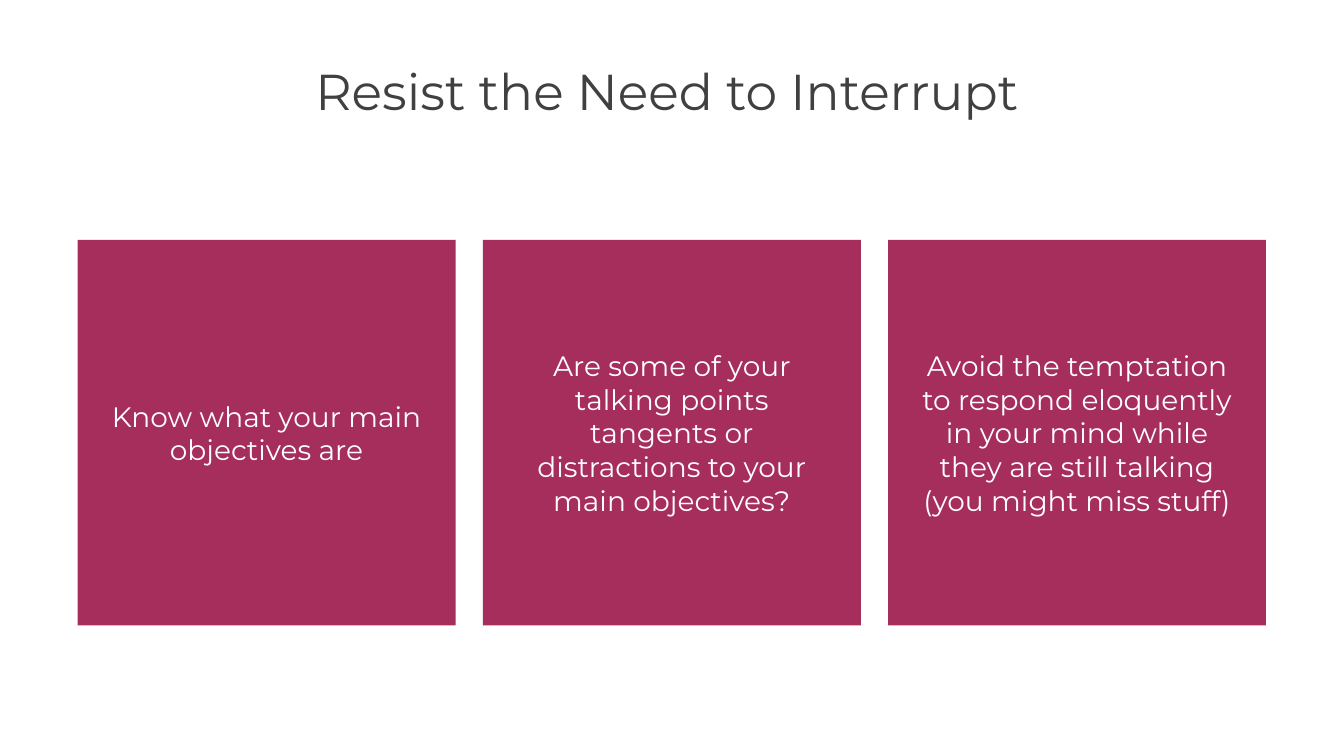
"""Build a slide with a title above three equal cards."""
from pptx import Presentation
from pptx.dml.color import RGBColor
from pptx.enum.shapes import MSO_SHAPE
from pptx.enum.text import MSO_ANCHOR, PP_ALIGN
from pptx.util import Pt

TITLE = "Resist the Need to Interrupt"
CARDS = [
    "Know what your main objectives are",
    "Are some of your talking points tangents or distractions to your main objectives?",
    "Avoid the temptation to respond eloquently in your mind while they are still talking "
    "(you might miss stuff)",
]

FONT = "Montserrat"
BERRY = RGBColor(0xA6, 0x2E, 0x5C)
WHITE = RGBColor(0xFF, 0xFF, 0xFF)
CHARCOAL = RGBColor(0x40, 0x40, 0x40)

SLIDE_WIDTH, SLIDE_HEIGHT = 960, 540
LEFT, CONTENT_WIDTH = 55.4, 848.9
TITLE_TOP, TITLE_HEIGHT = 46.1, 34.6
CARD_TOP, CARD_WIDTH, CARD_HEIGHT = 171.4, 270, 275.4
CARD_GAP = (CONTENT_WIDTH - len(CARDS) * CARD_WIDTH) / (len(CARDS) - 1)


def write_text(shape, text, size, color, anchor, margins):
    frame = shape.text_frame
    frame.word_wrap = True
    frame.vertical_anchor = anchor
    (frame.margin_left, frame.margin_top,
     frame.margin_right, frame.margin_bottom) = [Pt(margin) for margin in margins]
    paragraph = frame.paragraphs[0]
    paragraph.alignment = PP_ALIGN.CENTER
    run = paragraph.add_run()
    run.text = text
    run.font.name = FONT
    run.font.size = Pt(size)
    run.font.color.rgb = color
    return paragraph


def add_title(slide):
    title = slide.shapes.add_textbox(
        Pt(LEFT), Pt(TITLE_TOP), Pt(CONTENT_WIDTH), Pt(TITLE_HEIGHT))
    paragraph = write_text(title, TITLE, 36, CHARCOAL, MSO_ANCHOR.TOP, (0, 3.6, 7.2, 3.6))
    paragraph.line_spacing = 0.85


def add_card(slide, index, text):
    left = LEFT + index * (CARD_WIDTH + CARD_GAP)
    card = slide.shapes.add_shape(
        MSO_SHAPE.RECTANGLE, Pt(left), Pt(CARD_TOP), Pt(CARD_WIDTH), Pt(CARD_HEIGHT))
    card.shadow.inherit = False
    card.fill.solid()
    card.fill.fore_color.rgb = BERRY
    card.line.fill.background()
    paragraph = write_text(card, text, 20, WHITE, MSO_ANCHOR.MIDDLE, (21.6,) * 4)
    paragraph.space_before = Pt(18)


def main():
    presentation = Presentation()
    presentation.slide_width = Pt(SLIDE_WIDTH)
    presentation.slide_height = Pt(SLIDE_HEIGHT)
    slide = presentation.slides.add_slide(presentation.slide_layouts[6])
    add_title(slide)
    for index, text in enumerate(CARDS):
        add_card(slide, index, text)
    presentation.save("out.pptx")


if __name__ == "__main__":
    main()
